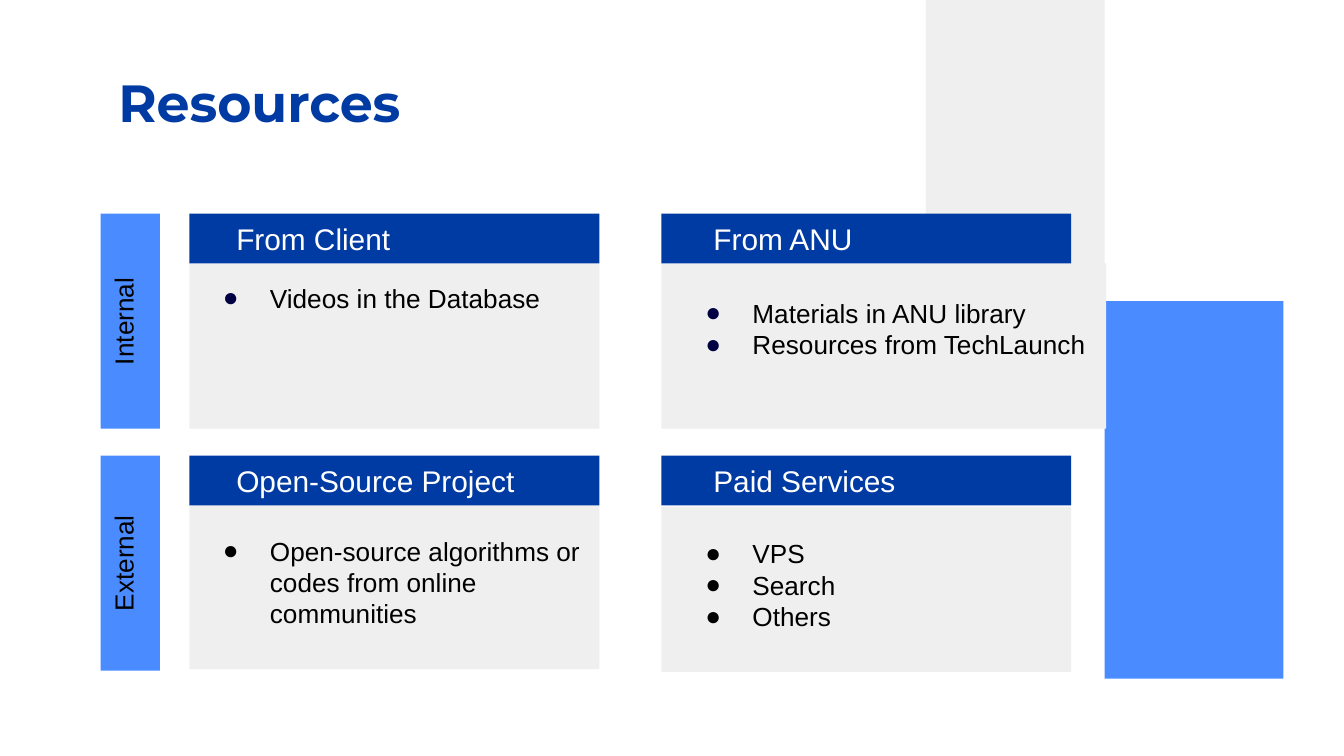
import dataclasses

import pptx
import pptx.dml.color
import pptx.enum.shapes
import pptx.enum.text
import pptx.util
from lxml import etree

Inches = pptx.util.Inches
ALIGN = pptx.enum.text.PP_ALIGN
NAVY, BLUE, GREY = "003BA3", "4A8CFF", "EFEFEF"
WHITE, BLACK, DARK = "FFFFFF", "000000", "000043"
COLS, ROWS = (1.41, 4.92), (1.59, 3.39)
WIDTH, HEAD, BODY = 3.05, 0.37, 1.23


@dataclasses.dataclass
class Card:
    col: int
    row: int
    title: str
    left: float
    items: tuple[str, ...]
    spot: tuple[float, float]
    dot: str = BLACK
    drop: float = 0
    width: float = WIDTH


CARDS = (
    Card(1, 1, "Paid Services", 5.21, ("VPS", "Search", "Others"), (5, 3.9), drop=0.01),
    Card(1, 0, "From ANU", 5.21,
         ("Materials in ANU library", "Resources from TechLaunch"), (5, 2.11), DARK, width=3.31),
    Card(0, 1, "Open-Source Project", 1.66,
         ("Open-source algorithms or codes from online communities",), (1.41, 3.88), drop=-0.01),
    Card(0, 0, "From Client", 1.66, ("Videos in the Database",), (1.41, 2), DARK),
)
SIDES = (("Internal", 0, 2.12), ("External", 1, 3.92))


def paint(hue: str) -> pptx.dml.color.RGBColor:
    return pptx.dml.color.RGBColor.from_string(hue)


def block(slide, x: float, y: float, w: float, h: float, hue: str) -> None:
    shape = slide.shapes.add_shape(
        pptx.enum.shapes.MSO_SHAPE.RECTANGLE, Inches(x), Inches(y), Inches(w), Inches(h))
    shape.shadow.inherit = False
    shape.fill.solid()
    shape.fill.fore_color.rgb = paint(hue)
    shape.line.fill.background()


def frame(shape):
    text = shape.text_frame
    text.word_wrap = True
    text.auto_size = pptx.enum.text.MSO_AUTO_SIZE.NONE
    text.vertical_anchor = pptx.enum.text.MSO_ANCHOR.TOP
    text.margin_left = text.margin_right = Inches(0.1)
    text.margin_top = text.margin_bottom = Inches(0.1)
    return text


def box(slide, x: float, y: float, w: float, h: float):
    return slide.shapes.add_textbox(Inches(x), Inches(y), Inches(w), Inches(h))


def write(para, words: str, size: float, hue: str, face: str = "Arial", bold: bool = False) -> None:
    run = para.add_run()
    run.text = words
    run.font.name = face
    run.font.size = pptx.util.Pt(size)
    run.font.bold = bold
    run.font.color.rgb = paint(hue)


def mark(para, hue: str) -> None:
    props = para._p.get_or_add_pPr()
    props.set("marL", str(Inches(0.5)))
    props.set("indent", str(-Inches(0.35)))
    tint = etree.SubElement(props, pptx.oxml.ns.qn("a:buClr"))
    etree.SubElement(tint, pptx.oxml.ns.qn("a:srgbClr"), val=hue)
    etree.SubElement(props, pptx.oxml.ns.qn("a:buFont"), typeface="Arial")
    etree.SubElement(props, pptx.oxml.ns.qn("a:buChar"), char="●")


def fill(slide, card: Card) -> None:
    head = frame(box(slide, card.left, ROWS[card.row] - 0.05, WIDTH, 0.46))
    write(head.paragraphs[0], card.title, 16, WHITE)
    body = frame(box(slide, *card.spot, min(card.width, 3.22), 0.95))
    for i, item in enumerate(card.items):
        para = body.add_paragraph() if i else body.paragraphs[0]
        mark(para, card.dot)
        write(para, item, 14, BLACK)


def side(slide, words: str, row: int, top: float) -> None:
    block(slide, 0.75, ROWS[row], 0.44, HEAD + BODY, BLUE)
    label = box(slide, 0.27, top, 1.4, 0.54)
    label.rotation = 270
    para = frame(label).paragraphs[0]
    para.alignment = ALIGN.CENTER
    write(para, words, 14, BLACK)


def main() -> None:
    deck = pptx.Presentation()
    deck.slide_width = Inches(10)
    deck.slide_height = deck.slide_width * 9 // 16
    slide = deck.slides.add_slide(deck.slide_layouts[5])
    title = slide.shapes.title
    title.left, title.top = Inches(0.78), Inches(0.42)
    title.width, title.height = Inches(8.44), Inches(0.63)
    para = frame(title).paragraphs[0]
    para.alignment = ALIGN.LEFT
    write(para, "Resources", 28, NAVY, "Montserrat", True)

    block(slide, 8.22, 2.24, 1.33, 2.81, BLUE)
    block(slide, 6.89, 0, 1.33, 2.24, GREY)
    for card in CARDS:
        x, y = COLS[card.col], ROWS[card.row]
        block(slide, x, y + HEAD + card.drop, card.width, BODY, GREY)
    for card in CARDS:
        block(slide, COLS[card.col], ROWS[card.row], WIDTH, HEAD, NAVY)
    for card in CARDS:
        fill(slide, card)
    for words, row, top in SIDES:
        side(slide, words, row, top)
    deck.save("out.pptx")


if __name__ == "__main__":
    main()
